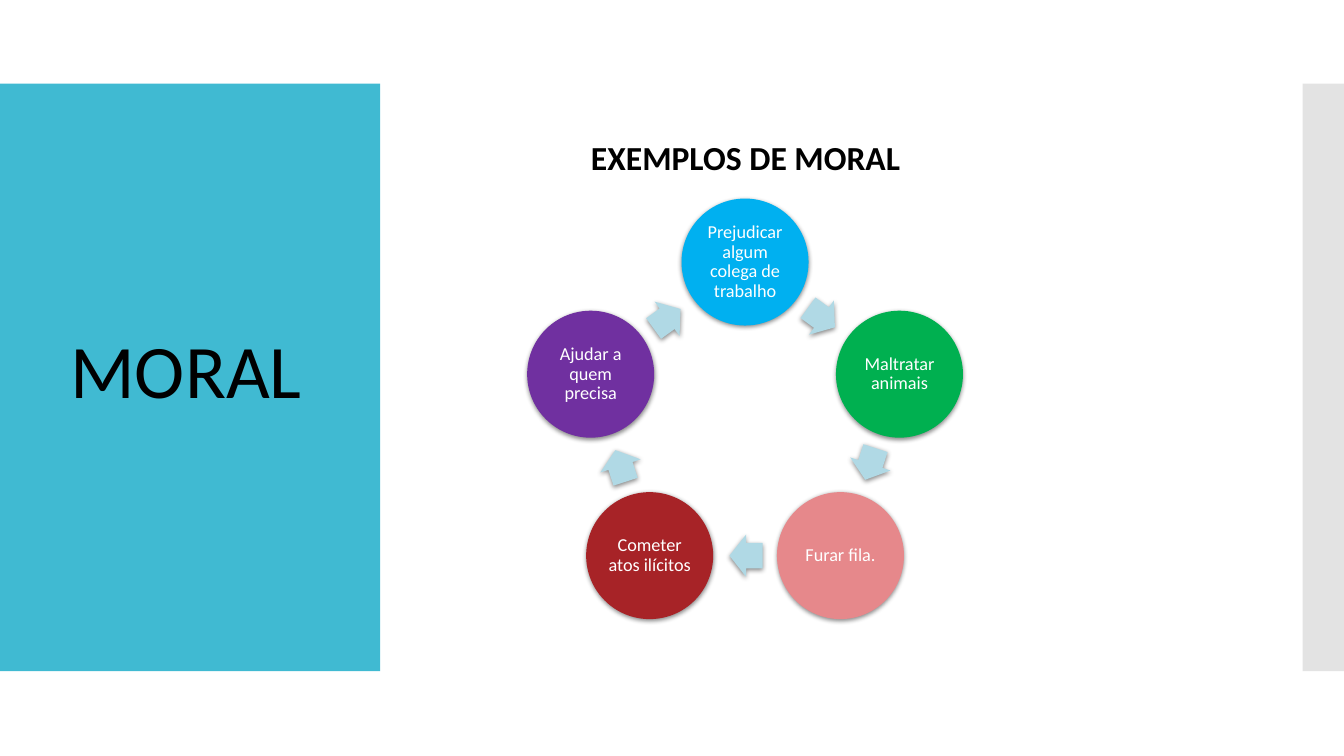
import math
import lxml.etree
import pptx
import pptx.util
import pptx.dml.color
import pptx.enum.shapes
import pptx.enum.text
import pptx.oxml.ns

Inches = pptx.util.Inches
SHAPES = pptx.enum.shapes.MSO_SHAPE
ALIGN = pptx.enum.text.PP_ALIGN
ANCHOR = pptx.enum.text.MSO_ANCHOR
AUTO_SIZE = pptx.enum.text.MSO_AUTO_SIZE

THEME = {
    "font": "Calibri",
    "panel": "40BAD2",
    "edge": "C8C8C8",
    "arrow": "B0D9E5",
    "shadow": "000000",
    "dark": "000000",
    "light": "FFFFFF",
    "title_size": 54,
    "heading_size": 24,
    "label_size": 13,
}


def add_filled(kind, left, top, width, height, color, shadow=False):
    shape = slide.shapes.add_shape(kind, Inches(left), Inches(top), Inches(width), Inches(height))
    shape.shadow.inherit = False
    shape.fill.solid()
    shape.fill.fore_color.rgb = pptx.dml.color.RGBColor.from_string(color)
    shape.line.fill.background()
    if shadow:
        qn = pptx.oxml.ns.qn
        effects = shape.element.spPr.find(qn("a:effectLst"))
        outer = lxml.etree.SubElement(
            effects, qn("a:outerShdw"),
            blurRad="44450", dist="13970", dir="5400000", algn="ctr", rotWithShape="0")
        tint = lxml.etree.SubElement(outer, qn("a:srgbClr"), val=THEME["shadow"])
        lxml.etree.SubElement(tint, qn("a:alpha"), val="45000")
    return shape


def write_text(shape, text, color, size, frame_format, paragraph_format, bold=False):
    frame = shape.text_frame
    for name, value in {"word_wrap": True, **frame_format}.items():
        setattr(frame, name, value)
    paragraph = frame.paragraphs[0]
    for name, value in paragraph_format.items():
        setattr(paragraph, name, value)
    run = paragraph.add_run()
    run.text = text
    font_format = {"name": THEME["font"], "size": pptx.util.Pt(size), "bold": bold}
    for name, value in font_format.items():
        setattr(run.font, name, value)
    run.font.color.rgb = pptx.dml.color.RGBColor.from_string(color)


presentation = pptx.Presentation()
presentation.slide_width = Inches(13.33)
presentation.slide_height = Inches(7.5)
slide = presentation.slides.add_slide(presentation.slide_layouts[6])

add_filled(SHAPES.RECTANGLE, 0, 0.83, 3.77, 5.83, THEME["panel"])
edge = add_filled(SHAPES.RECTANGLE, 12.92, 0.83, 0.41, 5.83, THEME["edge"])
edge_color = edge.element.spPr.find(".//" + pptx.oxml.ns.qn("a:srgbClr"))
lxml.etree.SubElement(edge_color, pptx.oxml.ns.qn("a:alpha"), val="50000")

examples = [
    ("Prejudicar algum colega de trabalho", "00B0F0"),
    ("Maltratar animais", "00B050"),
    ("Furar fila.", "E6888B"),
    ("Cometer atos ilícitos", "A72327"),
    ("Ajudar a quem precisa", "7030A0"),
]
center_x, center_y, radius = 7.39, 4.21, 1.61
diameter = 1.26
arrow_width, arrow_height, arrow_setback = 0.33, 0.42, 0.01
step = 360 / len(examples)
arrow_radius = radius * math.cos(math.radians(step / 2))
label_frame = {"vertical_anchor": ANCHOR.MIDDLE}
for side in ("left", "top", "right", "bottom"):
    label_frame["margin_" + side] = Inches(0.02)

for index, (text, color) in enumerate(examples):
    angle = math.radians(index * step)
    x = center_x + radius * math.sin(angle)
    y = center_y - radius * math.cos(angle)
    circle = add_filled(SHAPES.OVAL, x - diameter / 2, y - diameter / 2,
                        diameter, diameter, color, shadow=True)
    write_text(circle, text, THEME["light"], THEME["label_size"], label_frame,
               {"alignment": ALIGN.CENTER, "line_spacing": 0.9})

    rotation = (index + 0.5) * step
    heading = math.radians(rotation)
    x = center_x + arrow_radius * math.sin(heading) - arrow_setback * math.cos(heading)
    y = center_y - arrow_radius * math.cos(heading) - arrow_setback * math.sin(heading)
    arrow = add_filled(SHAPES.RIGHT_ARROW, x - arrow_width / 2, y - arrow_height / 2,
                       arrow_width, arrow_height, THEME["arrow"], shadow=True)
    arrow.adjustments[0] = 0.6
    arrow.adjustments[1] = 0.5
    arrow.rotation = rotation

captions = [
    ("EXEMPLOS DE MORAL", (4.01, 1.31, 6.77, 0.5), THEME["heading_size"], ALIGN.CENTER, True),
    ("MORAL", (0.6, 3.15, 2.87, 1.01), THEME["title_size"], ALIGN.LEFT, False),
]
for text, box, size, alignment, bold in captions:
    caption = slide.shapes.add_textbox(*map(Inches, box))
    write_text(caption, text, THEME["dark"], size,
               {"auto_size": AUTO_SIZE.SHAPE_TO_FIT_TEXT}, {"alignment": alignment}, bold)

presentation.save("out.pptx")
